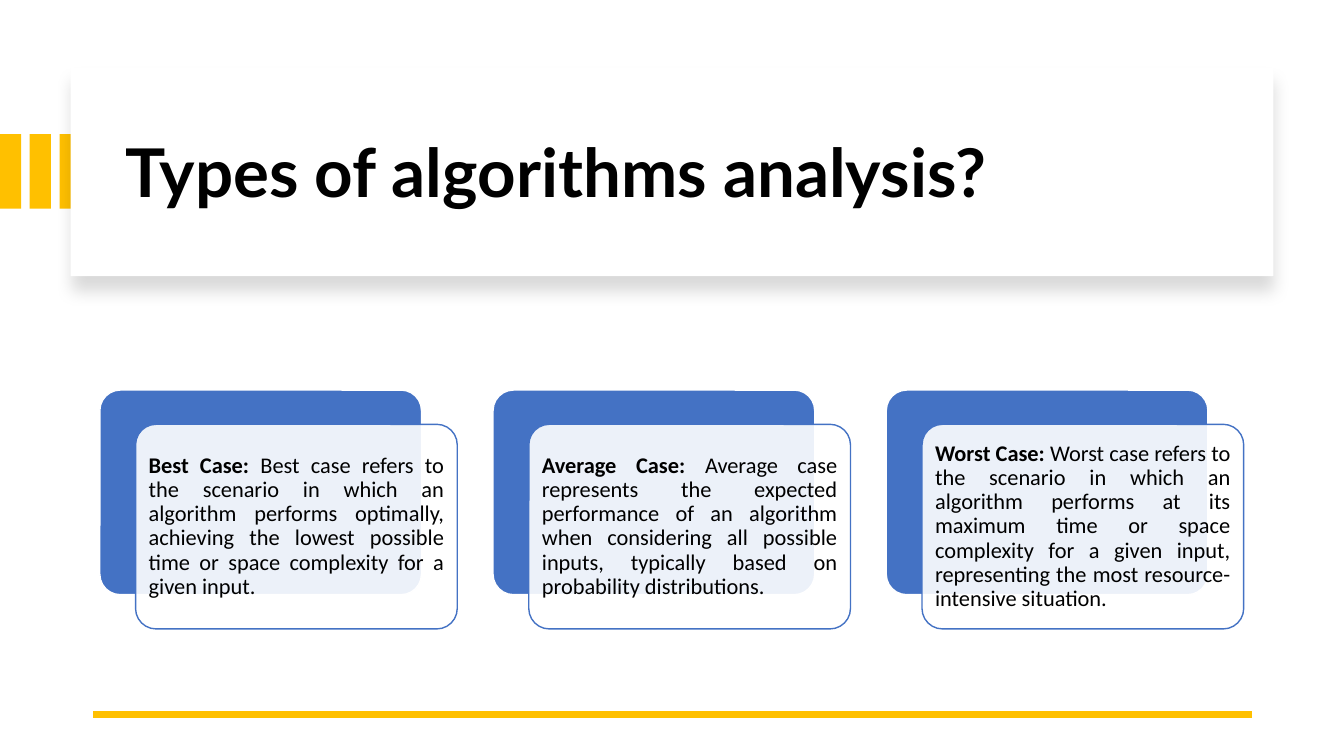
from lxml import etree
from pptx import Presentation
from pptx.dml.color import RGBColor
from pptx.enum.shapes import MSO_CONNECTOR, MSO_SHAPE
from pptx.enum.text import MSO_ANCHOR, PP_ALIGN
from pptx.oxml import parse_xml
from pptx.oxml.ns import nsdecls, qn
from pptx.util import Inches, Pt

TITLE = "Types of algorithms analysis?"
CASES = [
    ("Best Case: ",
     "Best case refers to the scenario in which an algorithm performs optimally, "
     "achieving the lowest possible time or space complexity for a given input."),
    ("Average Case: ",
     "Average case represents the expected performance of an algorithm when "
     "considering all possible inputs, typically based on probability distributions."),
    ("Worst Case: ",
     "Worst case refers to the scenario in which an algorithm performs at its "
     "maximum time or space complexity for a given input, representing the most "
     "resource-intensive situation."),
]

GOLD = RGBColor(0xFF, 0xC0, 0x00)
BLUE = RGBColor(0x44, 0x72, 0xC4)
WHITE = RGBColor(0xFF, 0xFF, 0xFF)
BLACK = RGBColor(0x00, 0x00, 0x00)
RECT, ROUNDED = MSO_SHAPE.RECTANGLE, MSO_SHAPE.ROUNDED_RECTANGLE
STRAIGHT = MSO_CONNECTOR.STRAIGHT
MIDDLE = MSO_ANCHOR.MIDDLE
LEFT, JUSTIFY = PP_ALIGN.LEFT, PP_ALIGN.JUSTIFY

STRIPE_PITCH = 0.295
CARD_LEFT, CARD_TOP, CARD_PITCH = 0.99, 3.87, 3.9
CARD_W, CARD_H = 3.19, 2.03
FRONT_DX, FRONT_DY = 0.355, 0.34

PANEL_SHADOW = (
    f'<a:effectLst {nsdecls("a")}><a:outerShdw blurRad="{Pt(11)}" dist="{Pt(10)}" '
    'dir="5400000" algn="t" rotWithShape="0"><a:srgbClr val="000000">'
    '<a:alpha val="15000"/></a:srgbClr></a:outerShdw></a:effectLst>'
)


def add_box(slide, kind, left, top, width, height, fill, line=None):
    box = slide.shapes.add_shape(
        kind, Inches(left), Inches(top), Inches(width), Inches(height))
    box.shadow.inherit = False
    box.fill.solid()
    box.fill.fore_color.rgb = fill
    if line is None:
        box.line.fill.background()
    else:
        box.line.color.rgb = line
        box.line.width = Pt(1)
    if kind == ROUNDED:
        box.adjustments[0] = 0.1
    return box


def write_text(shape, runs, *, font, size, align=LEFT, inset=None):
    """Fill the shape with one paragraph made of (text, bold) runs."""
    frame = shape.text_frame
    frame.word_wrap = True
    frame.vertical_anchor = MIDDLE
    if inset is not None:
        frame.margin_left = frame.margin_right = Inches(inset)
        frame.margin_top = frame.margin_bottom = Inches(inset)
    paragraph = frame.paragraphs[0]
    paragraph.alignment = align
    paragraph.line_spacing = 0.9
    for text, bold in runs:
        run = paragraph.add_run()
        run.text = text
        run.font.name = font
        run.font.size = Pt(size)
        run.font.bold = bold
        run.font.color.rgb = BLACK


def add_header(slide):
    for i in range(3):
        add_box(slide, RECT, i * STRIPE_PITCH, 1.33, 0.21, 0.74, GOLD)
    panel = add_box(slide, RECT, 0.7, 0.67, 11.93, 2.07, WHITE)
    properties = panel.element.spPr
    properties.replace(properties.find(qn("a:effectLst")), parse_xml(PANEL_SHADOW))

    title = slide.shapes.title
    title.left, title.top = Inches(1.14), Inches(0.89)
    title.width, title.height = Inches(11.13), Inches(1.7)
    write_text(title, [(TITLE, True)], font="Lato", size=48)
    panel.element.addnext(title.element)  # bring the title in front of the panel


def add_footer_rule(slide):
    rule = slide.shapes.add_connector(
        STRAIGHT, Inches(12.42), Inches(7.09), Inches(0.92), Inches(7.09))
    rule.line.color.rgb = GOLD
    rule.line.width = Pt(4.5)
    etree.SubElement(rule.element.spPr, qn("a:effectLst"))


def add_case(slide, index, heading, description):
    left = CARD_LEFT + index * CARD_PITCH
    add_box(slide, ROUNDED, left, CARD_TOP, CARD_W, CARD_H, BLUE, WHITE)
    front = add_box(slide, ROUNDED, left + FRONT_DX, CARD_TOP + FRONT_DY,
                    CARD_W, CARD_H, WHITE, BLUE)
    fill_color = front.element.spPr.find(qn("a:solidFill"))[0]
    etree.SubElement(fill_color, qn("a:alpha"), val="90000")
    write_text(front, [(heading, True), (description, False)],
               font="Calibri", size=16, align=JUSTIFY, inset=0.07)


def main():
    prs = Presentation()
    prs.slide_width, prs.slide_height = Inches(13.33), Inches(7.5)
    slide = prs.slides.add_slide(prs.slide_layouts[5])
    add_header(slide)
    add_footer_rule(slide)
    for index, (heading, description) in enumerate(CASES):
        add_case(slide, index, heading, description)
    prs.save("out.pptx")


if __name__ == "__main__":
    main()
